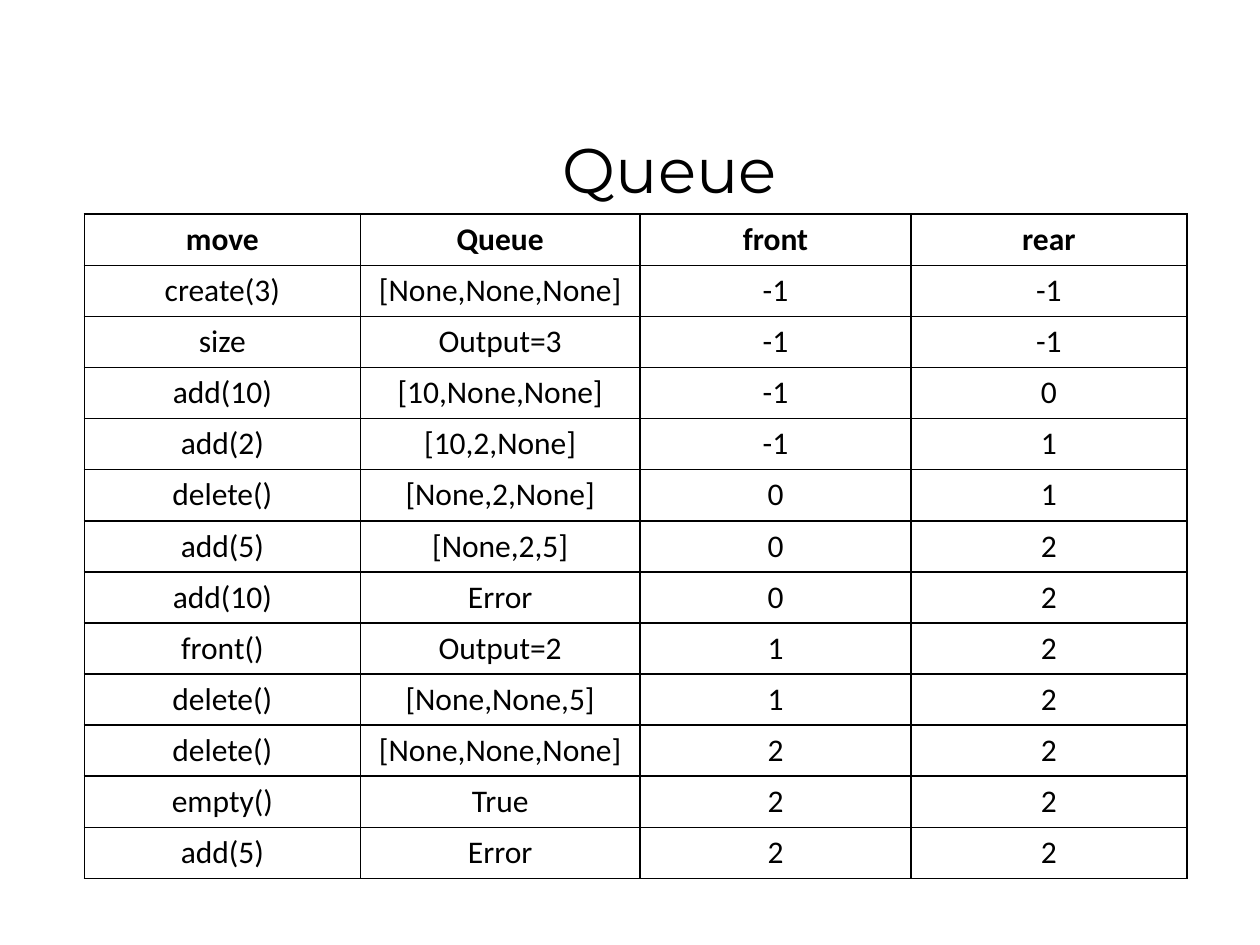
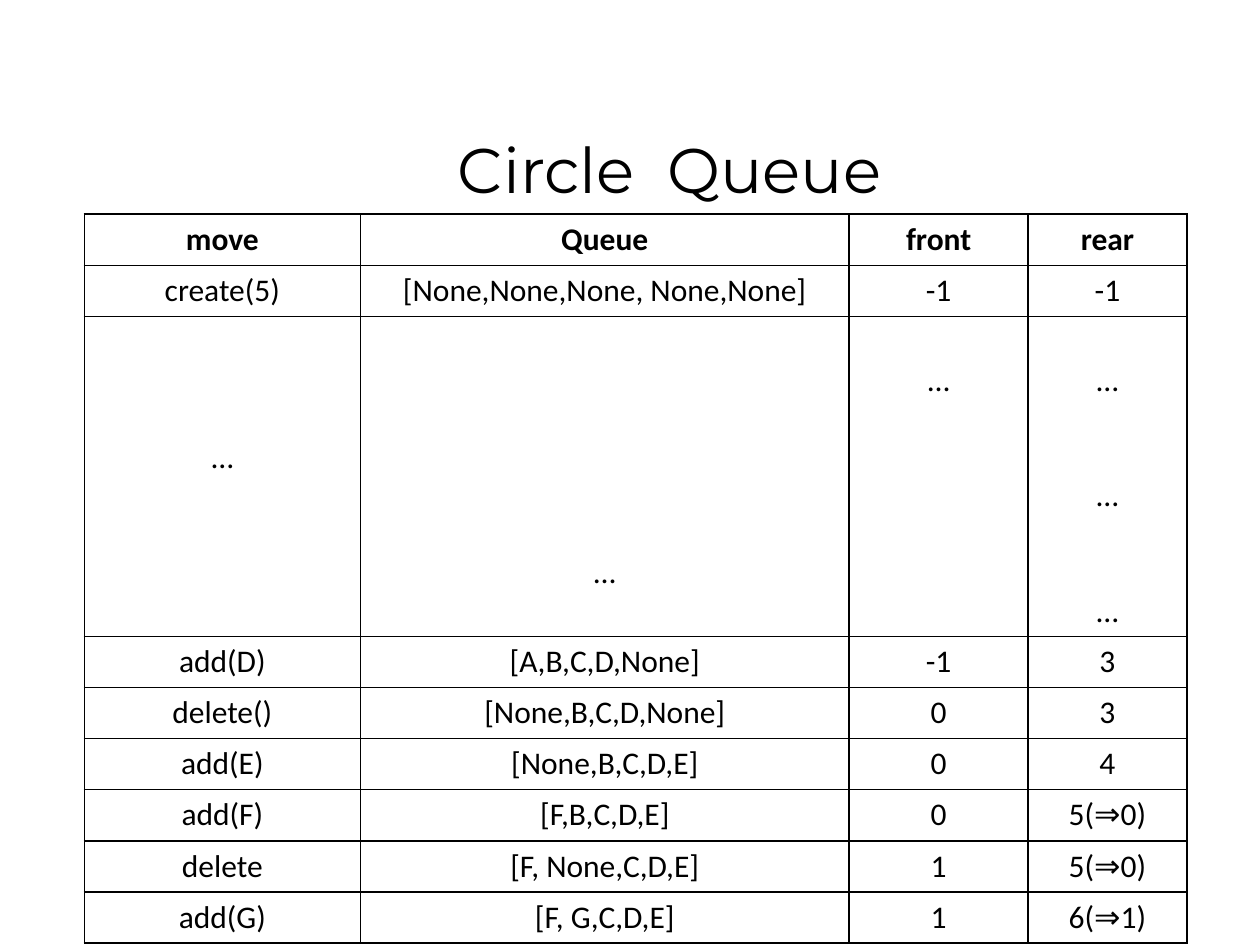
from pptx import Presentation
from pptx.dml.color import RGBColor
from pptx.enum.text import PP_ALIGN
from pptx.oxml import parse_xml
from pptx.oxml.ns import nsdecls
from pptx.util import Inches, Pt

INK, PAPER = "000000", "FFFFFF"
ROW = 3.65 / 9      # height of a one-line row
LINE = 22           # points per line of table text
HEAD = ("move", "Queue", "front", "rear")


def color(code):
    return RGBColor.from_string(code)


def style(par, font, size, bold=False):
    par.alignment = PP_ALIGN.CENTER
    par.font.name = font
    par.font.size = Pt(size)
    par.font.bold = bold
    par.font.color.rgb = color(INK)


# Each slide: title, column widths, table rows
pages = [
    ("Queue", (2.19, 2.22, 2.15, 2.19), [
        ("create(3)", "[None,None,None]", "-1", "-1"),
        ("size", "Output=3", "-1", "-1"),
        ("add(10)", "[10,None,None]", "-1", "0"),
        ("add(2)", "[10,2,None]", "-1", "1"),
        ("delete()", "[None,2,None]", "0", "1"),
        ("add(5)", "[None,2,5]", "0", "2"),
        ("add(10)", "Error", "0", "2"),
        ("front()", "Output=2", "1", "2"),
        ("delete()", "[None,None,5]", "1", "2"),
        ("delete()", "[None,None,None]", "2", "2"),
        ("empty()", "True", "2", "2"),
        ("add(5)", "Error", "2", "2"),
    ]),
    ("Circle  Queue", (2.19, 3.88, 1.42, 1.26), [
        ("create(5)", "[None,None,None, None,None]", "-1", "-1"),
        ("…", "…", "…", "…\n…\n…"),
        ("add(D)", "[A,B,C,D,None]", "-1", "3"),
        ("delete()", "[None,B,C,D,None]", "0", "3"),
        ("add(E)", "[None,B,C,D,E]", "0", "4"),
        ("add(F)", "[F,B,C,D,E]", "0", "5(⇒0)"),
        ("delete", "[F, None,C,D,E]", "1", "5(⇒0)"),
        ("add(G)", "[F, G,C,D,E]", "1", "6(⇒1)"),
    ]),
]

deck = Presentation()
deck.slide_width, deck.slide_height = Inches(10), Inches(7.5)

for title, widths, rows in pages:
    slide = deck.slides.add_slide(deck.slide_layouts[6])

    # Title
    box = slide.shapes.add_textbox(
        Inches(1.85), Inches(0.99), Inches(6.93), Inches(5.28))
    box.text_frame.word_wrap = True
    par = box.text_frame.paragraphs[0]
    par.text = title
    style(par, "Montserrat", 36)

    # Table of moves
    lines = [HEAD] + rows
    table = slide.shapes.add_table(
        len(lines), len(HEAD), Inches(0.67), Inches(1.7),
        Inches(8.74), Inches(ROW * len(lines))).table
    for col, width in zip(table.columns, widths):
        col.width = Inches(width)

    for r, line in enumerate(lines):
        for c, text in enumerate(line):
            cell = table.cell(r, c)
            cell.text = text
            for par in cell.text_frame.paragraphs:
                style(par, "Calibri", 18, bold=r == 0)

            # Borders come before the fill in the cell's XML
            props = cell._tc.get_or_add_tcPr()
            for side in "LRTB":
                props.append(parse_xml(
                    f'<a:ln{side} {nsdecls("a")} w="12700"><a:solidFill>'
                    f'<a:srgbClr val="{INK}"/></a:solidFill></a:ln{side}>'))
            cell.fill.solid()
            cell.fill.fore_color.rgb = color(PAPER)

    # Tall row of skipped moves: dots start some lines down
    for r, line in enumerate(lines):
        if line[0] != "…":
            continue
        table.rows[r].height = Inches(2.54)
        for c, skip in enumerate((3, 6, 1, 1)):
            cell = table.cell(r, c)
            cell.margin_top = Inches(0.05 + skip * LINE / 72)
            for par in cell.text_frame.paragraphs[1:]:
                par.space_before = Pt(2 * LINE)

deck.save("out.pptx")
